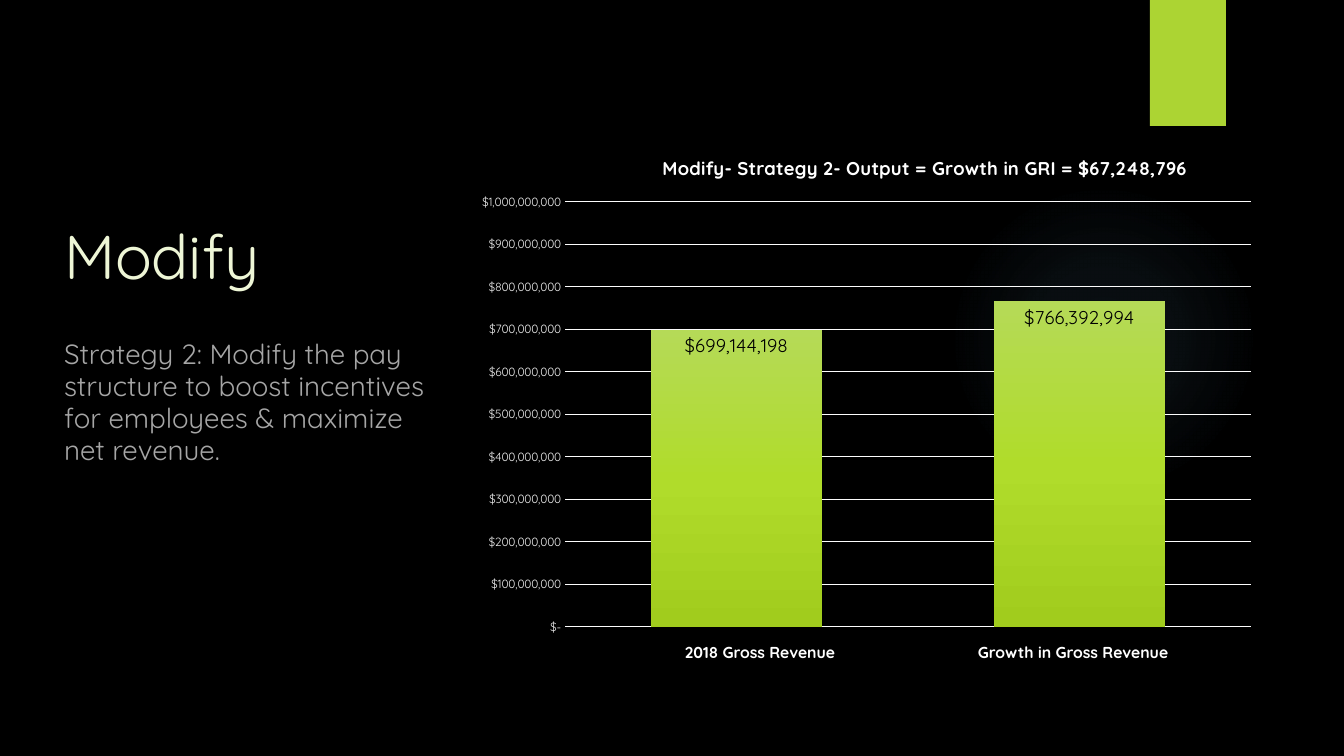
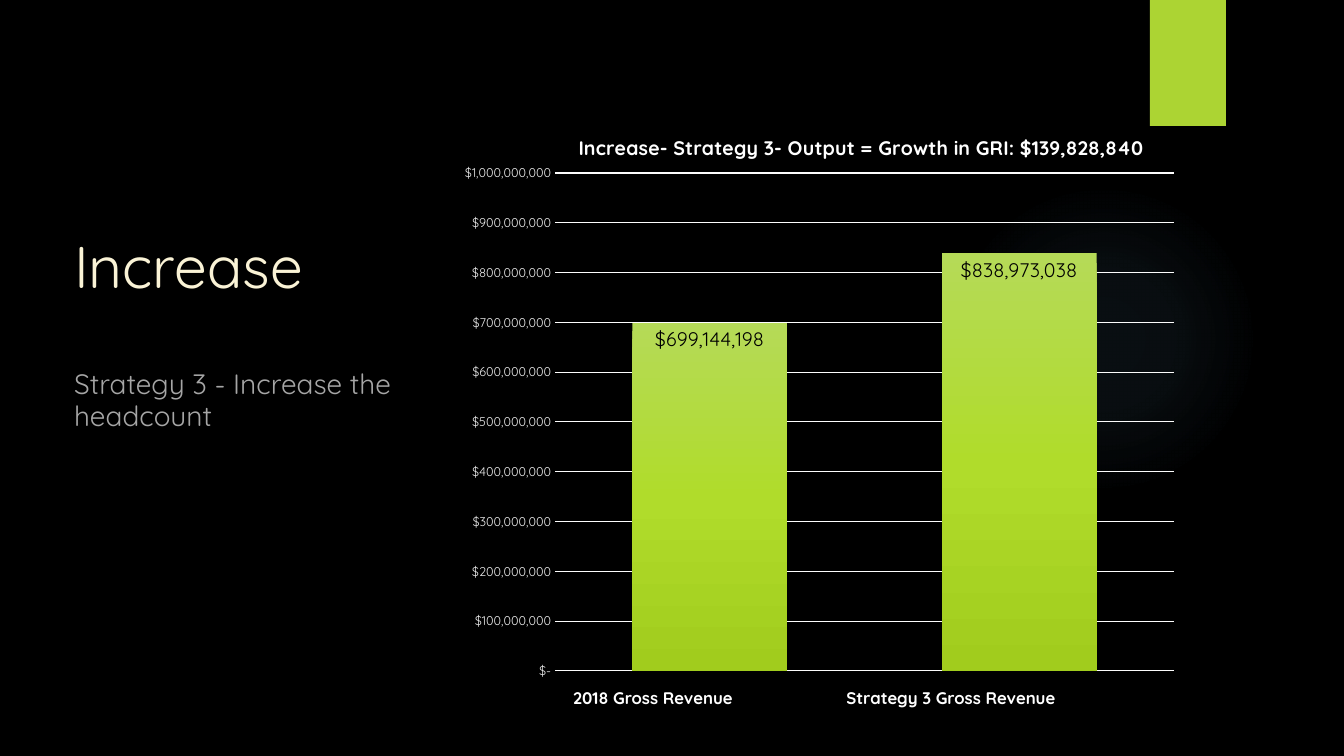
"""Build two strategy slides, each with a heading and a gross revenue chart."""
from pptx import Presentation, util as u
from pptx.chart.data import CategoryChartData
from pptx.dml.color import RGBColor
from pptx.enum import chart as ch, shapes, text
from pptx.oxml import parse_xml
from pptx.oxml.ns import nsdecls, qn

FONT = "Quicksand"
COLORS = {
    "back": "000000", "band": "ACD433", "glow": "7AC4F0", "body": "A6A6A6",
    "light": "FFFFFF", "axis": "EBEBEB", "grid": "FCFCFC", "value": "000000",
    "modify": "EEF6D6", "increase": "FAF3D6",
    "bar_top": "B5DA57", "bar_middle": "B0DC2B", "bar_foot": "A1CC1D",
}
BAND = (1150, 0, 76, 126)
GLOW = (949, 184, 310, 310)
GLOW_STOPS = [(0, "glow", 7), (36, "glow", 6), (69, "glow", 0)]
GLOW_PATH = ('<a:path path="circle"><a:fillToRect l="50000" t="50000" '
             'r="50000" b="50000"/></a:path>')
BAR_STOPS = [(0, "bar_top", 100), (50, "bar_middle", 100), (100, "bar_foot", 100)]
BAR_PATH = '<a:lin ang="5400000" scaled="0"/>'
CAPTION_SIZE = (300, 30)

SLIDES = [
    {
        "heading": "Modify", "heading_color": "modify", "heading_size": 44.1,
        "body": "Strategy 2: Modify the pay structure to boost incentives "
                "for employees & maximize net revenue.",
        "body_size": 19.8, "body_gap": 32, "text_box": (64, 223, 369, 260),
        "chart_title": "Modify- Strategy 2- Output = Growth in GRI = $67,248,796",
        "title_at": (659, 151), "chart_box": (474, 70, 778, 609),
        "plot": (565, 202, 686, 425), "values": [699144198, 766392994],
        "captions": [("2018 Gross Revenue", 760), ("Growth in Gross Revenue", 1073)],
        "caption_middle": 652,
        "sizes": {"title": 13.2, "value": 13.2, "axis": 8.5, "caption": 11.3},
    },
    {
        "heading": "Increase", "heading_color": "increase", "heading_size": 42,
        "body": "Strategy 3 - Increase the headcount",
        "body_size": 20, "body_gap": 48, "text_box": (74, 234, 352, 260),
        "chart_title": "Increase- Strategy 3- Output = Growth in GRI: $139,828,840",
        "title_at": (575, 130), "chart_box": (427, 124, 762, 590),
        "plot": (555, 173, 619, 498), "values": [699144198, 838973038],
        "captions": [("2018 Gross Revenue", 653), ("Strategy 3 Gross Revenue", 951)],
        "caption_middle": 698,
        "sizes": {"title": 14, "value": 14, "axis": 9, "caption": 12},
    },
]


def px(*lengths):
    return [u.Emu(round(length * 914400 / 100.8)) for length in lengths]


def color(name):
    return RGBColor.from_string(COLORS[name])


def style(font, size, color_name, bold=False):
    font.name, font.size, font.bold = FONT, u.Pt(size), bold
    font.color.rgb = color(color_name)


def set_gradient(solid_fill, stops, direction):
    marks = "".join(
        f'<a:gs pos="{pos * 1000}"><a:srgbClr val="{COLORS[name]}">'
        f'<a:alpha val="{alpha * 1000}"/></a:srgbClr></a:gs>'
        for pos, name, alpha in stops)
    gradient = parse_xml(f'<a:gradFill {nsdecls("a")} rotWithShape="1">'
                         f'<a:gsLst>{marks}</a:gsLst>{direction}</a:gradFill>')
    solid_fill.getparent().replace(solid_fill, gradient)


def set_layout(holder, index, **settings):
    for old in holder.findall(qn("c:layout")):
        holder.remove(old)
    parts = "".join(f'<c:{key} val="{value}"/>' for key, value in settings.items())
    holder.insert(index, parse_xml(
        f'<c:layout {nsdecls("c")}><c:manualLayout>{parts}'
        '</c:manualLayout></c:layout>'))


def add_shared_decor(slide):
    """Move the glow and band into the layout that every slide uses."""
    tree = slide.slide_layout.shapes.element
    for number, (kind, box, name) in enumerate([
            (shapes.MSO_SHAPE.OVAL, GLOW, "glow"),
            (shapes.MSO_SHAPE.RECTANGLE, BAND, "band")]):
        decor = slide.shapes.add_shape(kind, *px(*box))
        decor.shadow.inherit = False
        decor.line.fill.background()
        decor.fill.solid()
        decor.fill.fore_color.rgb = color(name)
        if name == "glow":
            set_gradient(decor.element.spPr.find(qn("a:solidFill")),
                         GLOW_STOPS, GLOW_PATH)
        decor.element.nvSpPr.cNvPr.set("id", str(100 + number))
        tree.append(decor.element)


def prepare_frame(frame, anchor):
    frame.word_wrap = True
    frame.auto_size = text.MSO_AUTO_SIZE.NONE
    frame.vertical_anchor = anchor
    frame.margin_left = frame.margin_right = frame.margin_top = frame.margin_bottom = 0


def add_heading(slide, content):
    title = slide.shapes.title
    title.left, title.top, title.width, title.height = px(*content["text_box"])
    frame = title.text_frame
    prepare_frame(frame, text.MSO_ANCHOR.TOP)
    heading, body = frame.paragraphs[0], frame.add_paragraph()
    heading.text, body.text = content["heading"], content["body"]
    for paragraph in (heading, body):
        paragraph.alignment = text.PP_ALIGN.LEFT
        paragraph.line_spacing = 0.96
        paragraph.space_before = u.Pt(0)
    body.space_before = u.Pt(content["body_gap"])
    style(heading.font, content["heading_size"], content["heading_color"])
    style(body.font, content["body_size"], "body")


def add_revenue_chart(slide, content):
    sizes = content["sizes"]
    data = CategoryChartData()
    data.categories = ["1", "2"]
    data.add_series("Series 1", content["values"])
    chart = slide.shapes.add_chart(ch.XL_CHART_TYPE.COLUMN_CLUSTERED,
                                   *px(*content["chart_box"]), data).chart
    style(chart.font, 10, "light")
    chart.has_legend = False
    chart.has_title = True
    chart_title = chart.chart_title.text_frame
    chart_title.text = content["chart_title"]
    style(chart_title.paragraphs[0].font, sizes["title"], "light", True)

    chart.category_axis.visible = False
    axis = chart.value_axis
    axis.minimum_scale, axis.maximum_scale, axis.major_unit = 0, 10**9, 10**8
    axis.major_tick_mark = axis.minor_tick_mark = ch.XL_TICK_MARK.NONE
    axis.format.line.fill.background()
    axis.major_gridlines.format.line.width = u.Pt(0.75)
    axis.major_gridlines.format.line.color.rgb = color("grid")
    axis.tick_labels.number_format = '"$"#,##0;;"$-"'
    axis.tick_labels.number_format_is_linked = False
    style(axis.tick_labels.font, sizes["axis"], "axis")

    bars = chart.plots[0]
    bars.gap_width, bars.overlap, bars.vary_by_categories = 100, -24, False
    bars.series[0].format.fill.solid()
    bars.series[0].format.fill.fore_color.rgb = color("bar_middle")
    set_gradient(chart.element.xpath(".//c:ser/c:spPr/a:solidFill")[0],
                 BAR_STOPS, BAR_PATH)
    bars.has_data_labels = True
    labels = bars.data_labels
    labels.show_value = True
    labels.position = ch.XL_LABEL_POSITION.INSIDE_END
    labels.number_format, labels.number_format_is_linked = '"$"#,##0', False
    style(labels.font, sizes["value"], "value")

    left, top, width, height = content["chart_box"]
    plot_x, plot_y, plot_w, plot_h = content["plot"]
    title_x, title_y = content["title_at"]
    set_layout(chart.element.xpath(".//c:plotArea")[0], 0, layoutTarget="inner",
               xMode="edge", yMode="edge",
               x=(plot_x - left) / width, y=(plot_y - top) / height,
               w=plot_w / width, h=plot_h / height)
    set_layout(chart.element.xpath("./c:chart/c:title")[0], 1,
               xMode="edge", yMode="edge",
               x=(title_x - left) / width, y=(title_y - top) / height)


def add_captions(slide, content):
    width, height = CAPTION_SIZE
    for words, center in content["captions"]:
        caption = slide.shapes.add_textbox(*px(
            center - width / 2, content["caption_middle"] - height / 2, width, height))
        prepare_frame(caption.text_frame, text.MSO_ANCHOR.MIDDLE)
        paragraph = caption.text_frame.paragraphs[0]
        paragraph.text = words
        paragraph.alignment = text.PP_ALIGN.CENTER
        style(paragraph.font, content["sizes"]["caption"], "light", True)


def main():
    deck = Presentation()
    deck.slide_width, deck.slide_height = px(1344, 756)
    background = deck.slide_master.background.fill
    background.solid()
    background.fore_color.rgb = color("back")
    title_only = deck.slide_layouts[5]
    for number, content in enumerate(SLIDES):
        slide = deck.slides.add_slide(title_only)
        if number == 0:
            add_shared_decor(slide)
        add_heading(slide, content)
        add_revenue_chart(slide, content)
        add_captions(slide, content)
    deck.save("out.pptx")


if __name__ == "__main__":
    main()
